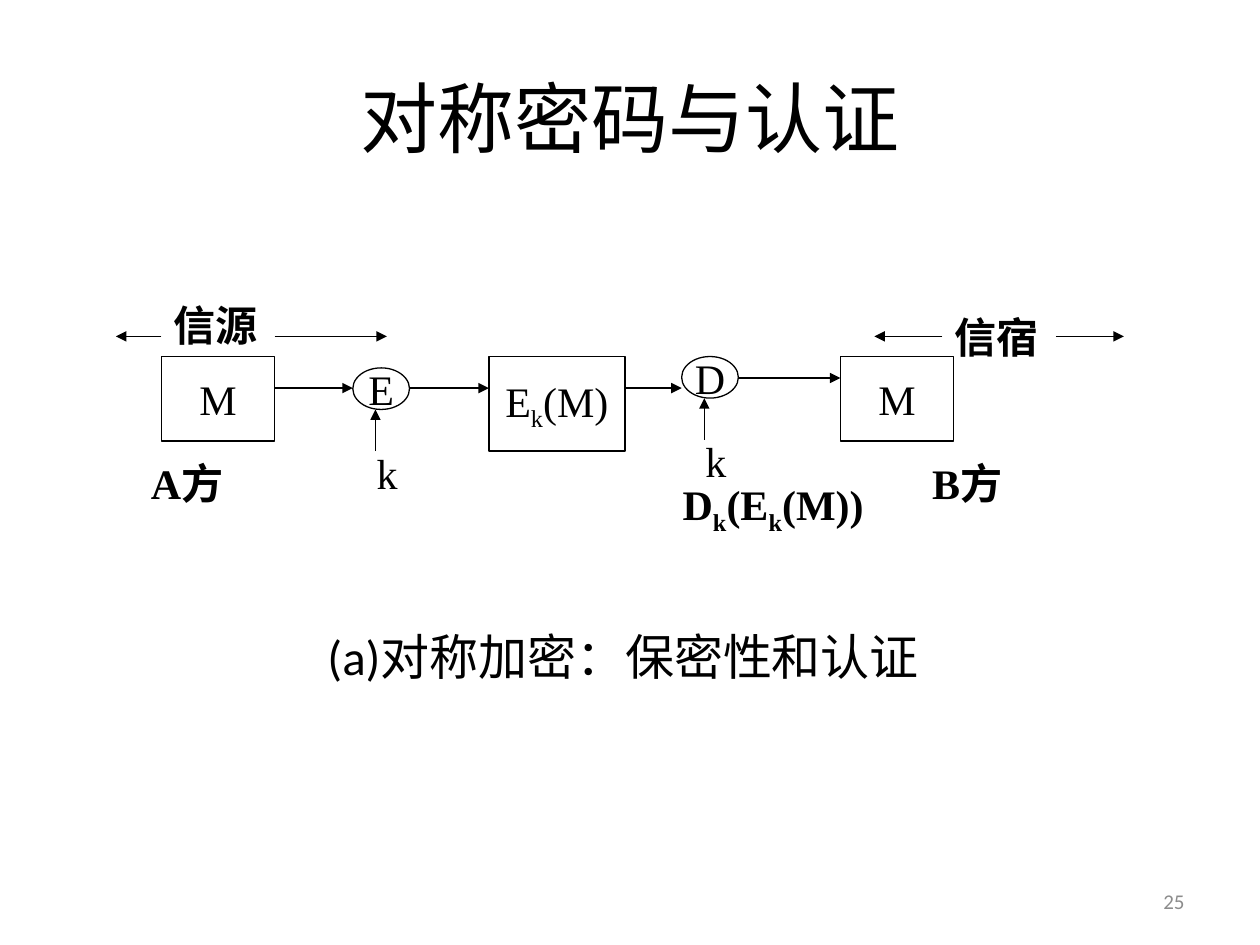
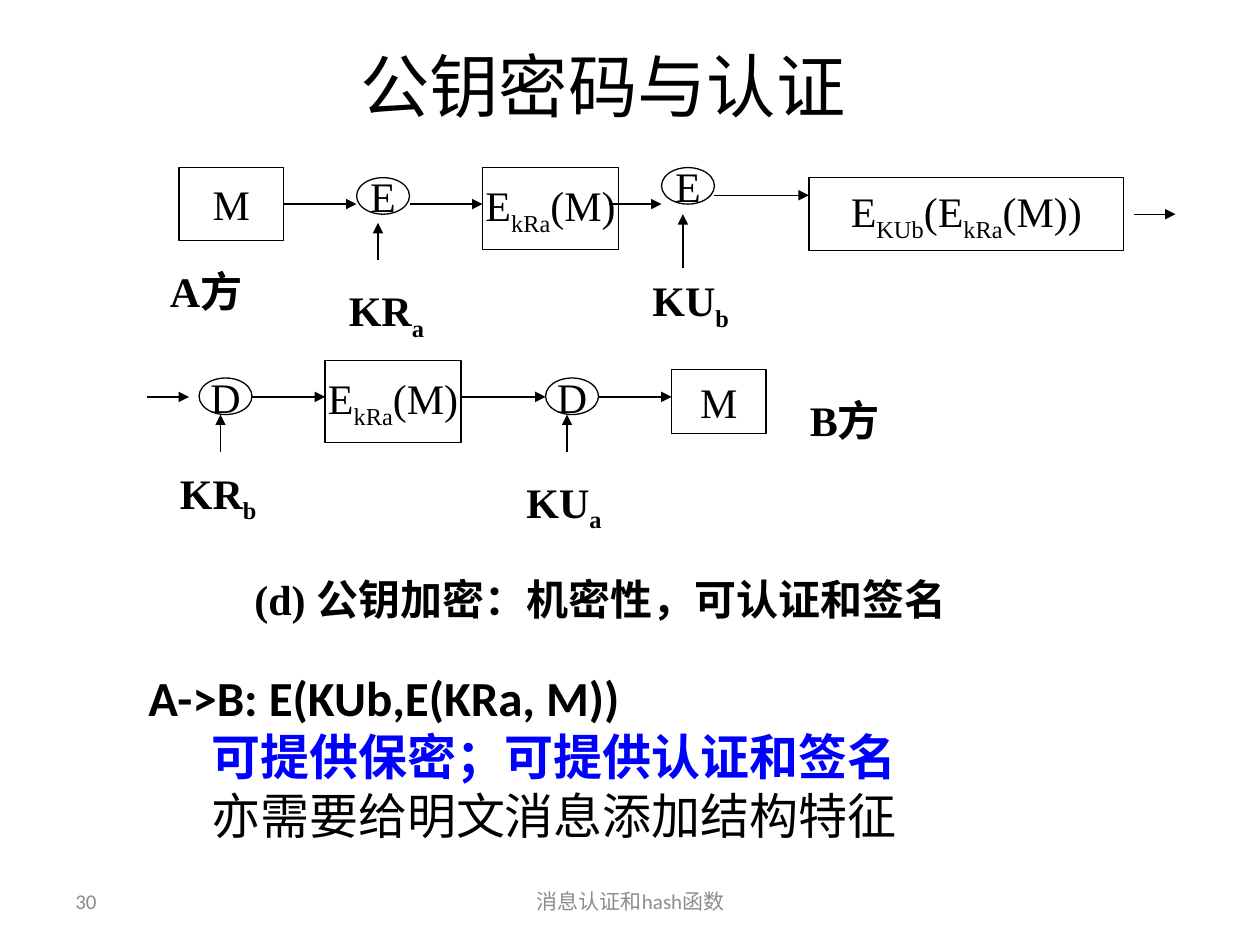
import lxml.etree
import pptx
import pptx.dml.color
import pptx.enum.shapes
import pptx.enum.text
import pptx.oxml.ns
import pptx.util

Inches = pptx.util.Inches
Align = pptx.enum.text.PP_ALIGN
Anchor = pptx.enum.text.MSO_ANCHOR
Shape = pptx.enum.shapes.MSO_SHAPE

BLACK, GREY, BLUE = "000000", "8C8C8C", "0000FF"
HEADING_FONT, DIAGRAM_FONT = "Calibri", "Times New Roman"
RIGHT_SIDE = 3


def color(hex_string):
    return pptx.dml.color.RGBColor.from_string(hex_string)


def write(paragraph, text, size=24, font=DIAGRAM_FONT, hex_color=BLACK,
          bold=False, align=Align.LEFT, indent=0):
    """Fill a paragraph; every second piece between bars is a subscript."""
    paragraph.alignment = align
    if indent:
        paragraph._p.get_or_add_pPr().set("marL", str(Inches(indent)))
    for index, piece in enumerate(text.split("|")):
        run = paragraph.add_run()
        run.text = piece
        run.font.size = pptx.util.Pt(size)
        run.font.name = font
        run.font.bold = bold
        run.font.color.rgb = color(hex_color)
        if index % 2:
            run._r.get_or_add_rPr().set("baseline", "-25000")


class Deck:
    """Holds the presentation, its line style and the current slide."""

    line_width = pptx.util.Pt(0.75)

    def __init__(self):
        self.presentation = pptx.Presentation()
        self.presentation.slide_width = Inches(10)
        self.presentation.slide_height = Inches(7.5)
        self.slide = None

    def new_slide(self):
        self.slide = self.presentation.slides.add_slide(
            self.presentation.slide_layouts[6])

    def text(self, left, top, width, height, *lines, anchor=Anchor.TOP, **style):
        """Add a text box; a line is a string or a (string, format) pair."""
        box = self.slide.shapes.add_textbox(
            Inches(left), Inches(top), Inches(width), Inches(height))
        frame = box.text_frame
        frame.word_wrap = True
        frame.vertical_anchor = anchor
        for index, line in enumerate(lines):
            content, extra = (line, {}) if isinstance(line, str) else line
            paragraph = frame.add_paragraph() if index else frame.paragraphs[0]
            write(paragraph, content, **{**style, **extra})

    def title(self, left, top, width, height, text, size):
        self.text(left, top, width, height, text, size=size, font=HEADING_FONT,
                  align=Align.CENTER, anchor=Anchor.MIDDLE)

    def footer(self, left, width, text, align):
        self.text(left, 6.95, width, 0.4, text, size=12, font=HEADING_FONT,
                  hex_color=GREY, align=align, anchor=Anchor.MIDDLE)

    def label(self, left, top, text, width=1.26, bold=True):
        self.text(left, top, width, 0.5, text, bold=bold)

    def node(self, kind, left, top, width, height, text):
        shape = self.slide.shapes.add_shape(
            kind, Inches(left), Inches(top), Inches(width), Inches(height))
        shape.shadow.inherit = False
        shape.fill.background()
        shape.line.color.rgb = color(BLACK)
        shape.line.width = self.line_width
        frame = shape.text_frame
        frame.word_wrap = False
        frame.vertical_anchor = Anchor.MIDDLE
        write(frame.paragraphs[0], text, align=Align.CENTER)
        return shape

    def box(self, left, top, width, height, text):
        return self.node(Shape.RECTANGLE, left, top, width, height, text)

    def cipher(self, left, top, text, width=0.42, height=0.29):
        return self.node(Shape.OVAL, left, top, width, height, text)

    def arrow(self, start_x, start_y, end_x, end_y, start_shape=None):
        """Draw an arrow, joined to the right side of start_shape if given."""
        connector = self.slide.shapes.add_connector(
            pptx.enum.shapes.MSO_CONNECTOR.STRAIGHT,
            Inches(start_x), Inches(start_y), Inches(end_x), Inches(end_y))
        if start_shape is not None:
            connector.begin_connect(start_shape, RIGHT_SIDE)
        connector.line.color.rgb = color(BLACK)
        connector.line.width = self.line_width
        qualified = pptx.oxml.ns.qn
        line = connector.line._get_or_add_ln()
        lxml.etree.SubElement(line, qualified("a:tailEnd"), type="triangle")
        lxml.etree.SubElement(connector._element.spPr, qualified("a:effectLst"))

    def across(self, y, *spans):
        for start, end in spans:
            self.arrow(start, y, end, y)

    def up(self, x, bottom, top):
        self.arrow(x, bottom, x, top)


def symmetric_slide(deck):
    deck.new_slide()
    deck.title(0.5, 0.3, 9, 1.25, "对称密码与认证", 44)
    deck.footer(7.17, 2.33, "25", Align.RIGHT)

    deck.label(1.28, 2.33, "信源")
    deck.label(7.48, 2.42, "信宿")
    deck.across(2.67, (2.18, 3.07), (1.28, 0.92), (7.48, 6.94), (8.38, 8.92))

    for left in (1.28, 6.67):
        deck.box(left, 2.83, 0.9, 0.67, "M")
    deck.box(3.88, 2.83, 1.08, 0.75, "E|k|(M)")
    deck.across(3.08, (2.18, 2.8), (3.25, 3.88), (4.96, 5.41))
    deck.across(3, (5.86, 6.67))

    for left, top, name, key_x in ((2.8, 2.92, "E", 2.98), (5.41, 2.83, "D", 5.59)):
        deck.cipher(left, top, name, width=0.45, height=0.33)
        deck.up(key_x, top + 0.66, top + 0.33)
        deck.label(key_x - 0.09, top + 0.58, "k", width=0.9, bold=False)

    deck.label(1.1, 3.58, "A方")
    deck.label(7.3, 3.58, "B方")
    deck.label(5.32, 3.75, "D|k|(E|k|(M))", width=1.8)
    deck.text(2.5, 4.92, 4.95, 0.57, "(a)对称加密：保密性和认证",
              size=28, font=HEADING_FONT)


def public_key_slide(deck):
    deck.new_slide()
    deck.title(0, 0.33, 9.57, 0.69, "公钥密码与认证", 39.6)
    deck.footer(0.5, 2.33, "30", Align.LEFT)
    deck.footer(3.42, 3.17, "消息认证和hash函数", Align.CENTER)

    # Sender: sign, then encrypt
    message = deck.box(1.42, 1.33, 0.83, 0.58, "M")
    deck.cipher(2.83, 1.41, "E")
    deck.box(3.83, 1.33, 1.08, 0.65, "E|kRa|(M)")
    deck.cipher(5.25, 1.33, "E")
    deck.box(6.42, 1.41, 2.5, 0.58, "E|KUb|(E|kRa|(M))")
    deck.arrow(2.25, 1.62, 2.83, 1.62, start_shape=message)
    deck.across(1.62, (3.25, 3.83), (4.83, 5.25))
    deck.across(1.55, (5.67, 6.42))
    deck.across(1.7, (9, 9.33))
    deck.up(3, 2.06, 1.77)
    deck.up(5.42, 2.13, 1.7)
    deck.label(1.25, 2.06, "A方")
    deck.label(2.67, 2.21, "KR|a")
    deck.label(5.08, 2.13, "KU|b")

    # Receiver: decrypt, then verify
    deck.box(2.58, 2.86, 1.08, 0.65, "E|kRa|(M)")
    deck.box(5.33, 2.93, 0.75, 0.51, "M")
    deck.across(3.15, (1.17, 1.5), (2, 2.58), (3.67, 4.33), (4.75, 5.33))
    for left, key, key_top in ((1.58, "KR|b", 3.66), (4.33, "KU|a", 3.73)):
        deck.cipher(left, 3, "D")
        deck.up(left + 0.17, 3.59, 3.29)
        deck.label(left - 0.25, key_top, key)
    deck.label(6.33, 3.08, "B方")

    deck.label(1.92, 4.5, "(d) 公钥加密：机密性，可认证和签名", width=6.08)
    deck.text(1.08, 5.25, 7.27, 1.99,
              "A->B: E(KUb,E(KRa, M))",
              ("可提供保密；可提供认证和签名", {"hex_color": BLUE, "indent": 0.5}),
              ("亦需要给明文消息添加结构特征", {"bold": False, "indent": 0.5}),
              size=28, font=HEADING_FONT, bold=True)


def main():
    deck = Deck()
    symmetric_slide(deck)
    public_key_slide(deck)
    deck.presentation.save("out.pptx")


if __name__ == "__main__":
    main()
